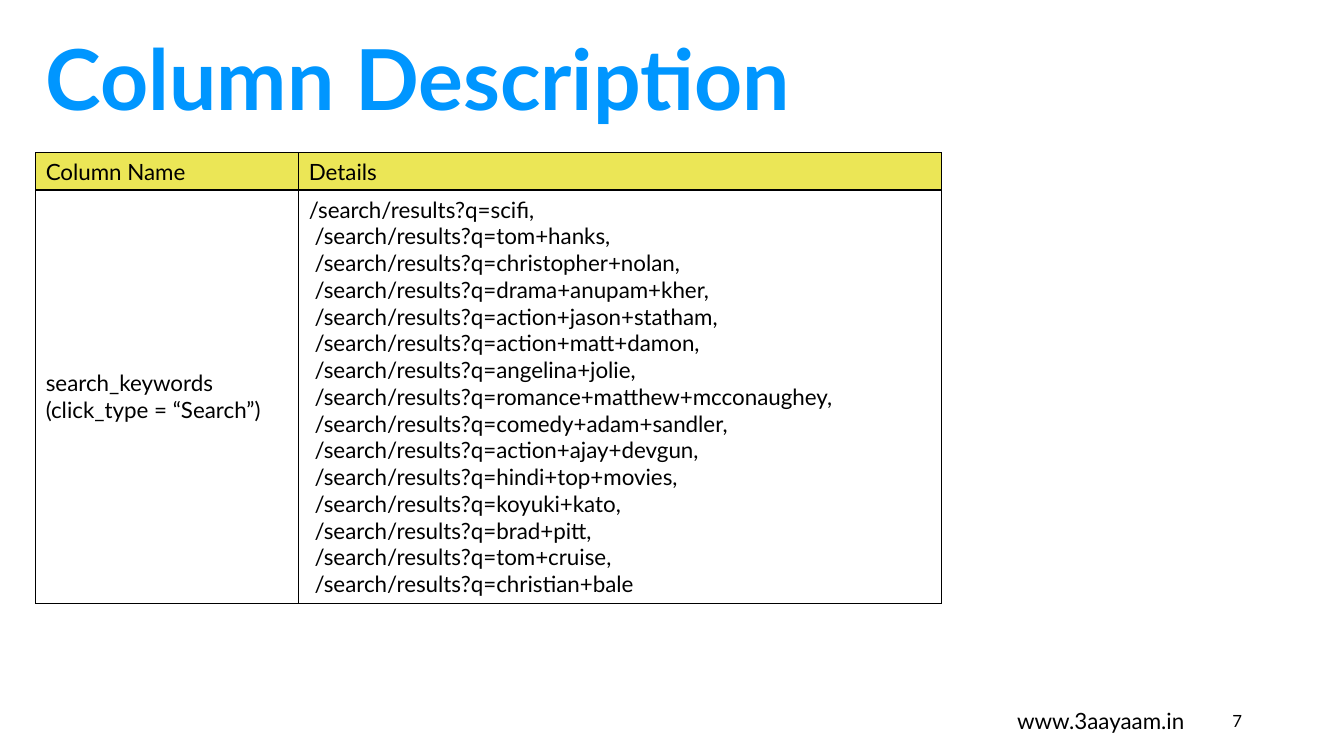
import pptx
import pptx.dml.color
import pptx.enum.text
import pptx.oxml
import pptx.oxml.ns
import pptx.util
from pptx.enum.text import MSO_ANCHOR, PP_ALIGN
from pptx.util import Cm

SEARCH_TERMS = [
    "scifi", "tom+hanks", "christopher+nolan", "drama+anupam+kher",
    "action+jason+statham", "action+matt+damon", "angelina+jolie",
    "romance+matthew+mcconaughey", "comedy+adam+sandler",
    "action+ajay+devgun", "hindi+top+movies", "koyuki+kato", "brad+pitt",
    "tom+cruise", "christian+bale",
]


def color(hex_string):
    return pptx.dml.color.RGBColor.from_string(hex_string)


def write(text_frame, text, size=16, font="Lato", fill="000000", bold=False,
          align=PP_ALIGN.LEFT):
    """Fill a text frame; a newline starts a paragraph, a vertical tab a line."""
    text_frame.text = text
    for paragraph in text_frame.paragraphs:
        paragraph.alignment = align
        for run in paragraph.runs:
            run.font.name = font
            run.font.size = pptx.util.Pt(size)
            run.font.bold = bold
            run.font.color.rgb = color(fill)


def add_borders(cell, hex_string, points):
    properties = cell._tc.get_or_add_tcPr()
    for index, side in enumerate(("lnL", "lnR", "lnT", "lnB")):
        border = pptx.oxml.parse_xml(
            f'<a:{side} {pptx.oxml.ns.nsdecls("a")} w="{pptx.util.Pt(points)}">'
            f'<a:solidFill><a:srgbClr val="{hex_string}"/></a:solidFill>'
            f'</a:{side}>')
        properties.insert(index, border)


class SlideBuilder:
    """Holds the style and the slide being built."""

    accent = "0096FF"
    header_fill = "EBE656"
    body_fill = "FFFFFF"
    border = "000000"

    def __init__(self, presentation):
        self.slide = presentation.slides.add_slide(presentation.slide_layouts[5])

    def title(self, text, left, top, width, height):
        shape = self.slide.shapes.title
        shape.left, shape.top = Cm(left), Cm(top)
        shape.width, shape.height = Cm(width), Cm(height)
        frame = shape.text_frame
        frame.auto_size = pptx.enum.text.MSO_AUTO_SIZE.NONE
        frame.vertical_anchor = MSO_ANCHOR.MIDDLE
        write(frame, text, size=60, fill=self.accent, bold=True)

    def text(self, text, left, top, width, height, **text_format):
        shape = self.slide.shapes.add_textbox(
            Cm(left), Cm(top), Cm(width), Cm(height))
        frame = shape.text_frame
        frame.word_wrap = True
        frame.vertical_anchor = MSO_ANCHOR.MIDDLE
        write(frame, text, **text_format)

    def table(self, rows, left, top, widths, heights):
        table = self.slide.shapes.add_table(
            len(rows), len(widths), Cm(left), Cm(top),
            Cm(sum(widths)), Cm(sum(heights))).table
        table.first_row = table.horz_banding = False
        for column, width in zip(table.columns, widths):
            column.width = Cm(width)
        for row_index, (texts, height) in enumerate(zip(rows, heights)):
            table.rows[row_index].height = Cm(height)
            for column_index, text in enumerate(texts):
                cell = table.cell(row_index, column_index)
                cell.fill.solid()
                cell.fill.fore_color.rgb = color(
                    self.body_fill if row_index else self.header_fill)
                cell.vertical_anchor = MSO_ANCHOR.MIDDLE
                write(cell.text_frame, text)
                add_borders(cell, self.border, 1)


def main():
    presentation = pptx.Presentation()
    presentation.slide_width = Cm(33.87)
    presentation.slide_height = Cm(19.05)

    builder = SlideBuilder(presentation)
    builder.text("www.3aayaam.in", 24.74, 17.65, 6, 1.02, align=PP_ALIGN.CENTER)
    builder.text("7", 23.93, 17.65, 7.62, 1.02, size=12, align=PP_ALIGN.RIGHT)
    searches = ",\v ".join(f"/search/results?q={term}" for term in SEARCH_TERMS)
    builder.table(
        [["Column Name", "Details"],
         ["search_keywords\n(click_type = “Search”)", searches]],
        0.9, 3.85, widths=[6.63, 16.2], heights=[0.94, 10.41])
    builder.title("Column Description", 0.9, 0.38, 31.93, 3.12)

    presentation.save("out.pptx")


if __name__ == "__main__":
    main()
